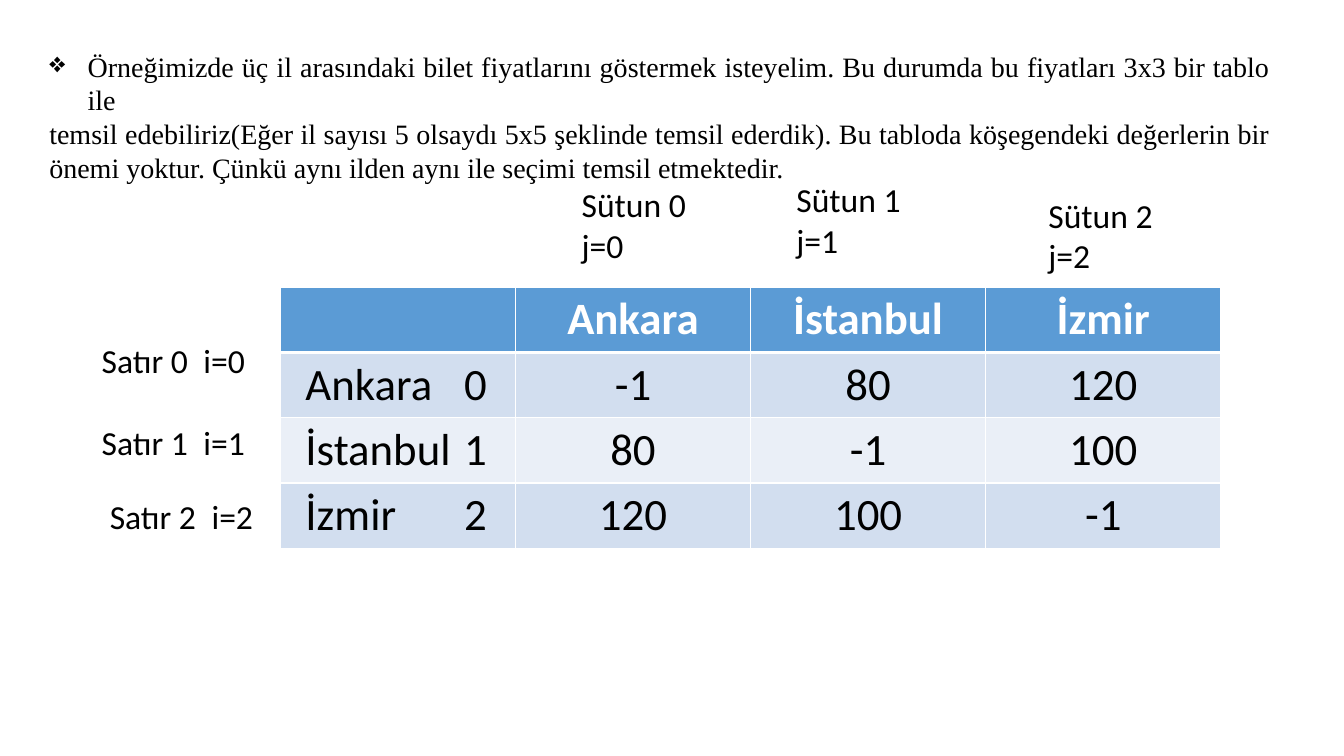
from lxml import etree
from pptx import Presentation
from pptx.dml.color import RGBColor
from pptx.enum.text import MSO_AUTO_SIZE, PP_ALIGN
from pptx.oxml.ns import qn
from pptx.util import Inches, Pt

LEFT, CENTER, JUSTIFY = PP_ALIGN.LEFT, PP_ALIGN.CENTER, PP_ALIGN.JUSTIFY
FIT_SHAPE = MSO_AUTO_SIZE.SHAPE_TO_FIT_TEXT
BLANK_LAYOUT = 6

COLORS = {
    "text": "000000",
    "white": "FFFFFF",
    "header": "5B9BD5",
    "odd_row": "D2DEEF",
    "even_row": "EAEFF7",
}
INTRO_FONT = {"name": "Times New Roman", "size": Pt(20), "bold": False}
LABEL_FONT = {"name": "Calibri", "size": Pt(24), "bold": False}
CELL_FONT = {"name": "Calibri", "size": Pt(32), "bold": False}
HEADER_FONT = {**CELL_FONT, "bold": True}

INTRO = [
    "Örneğimizde üç il arasındaki bilet fiyatlarını göstermek isteyelim. "
    "Bu durumda bu fiyatları 3x3 bir tablo ile",
    "temsil edebiliriz(Eğer il sayısı 5 olsaydı 5x5 şeklinde temsil ederdik). "
    "Bu tabloda köşegendeki değerlerin bir önemi yoktur. "
    "Çünkü aynı ilden aynı ile seçimi temsil etmektedir.",
]
PRICES = [
    ["", "Ankara", "İstanbul", "İzmir"],
    ["Ankara\t0", "-1", "80", "120"],
    ["İstanbul\t1", "80", "-1", "100"],
    ["İzmir\t2", "120", "100", "-1"],
]
# Left, top, width of each index label
ROW_LABELS = [(0.91, 3.32, 1.63), (0.91, 4.14, 1.78), (0.99, 4.87, 1.78)]
COLUMN_LABELS = [(5.67, 1.78, 1.32), (7.8, 1.73, 1.25), (10.3, 1.88, 1.25)]


def write_paragraph(paragraph, text, font_format, color="text", align=LEFT):
    paragraph.alignment = align
    run = paragraph.add_run()
    run.text = text
    for name, value in font_format.items():
        setattr(run.font, name, value)
    run.font.color.rgb = RGBColor.from_string(COLORS[color])


def add_text(slide, box, lines, font_format, align=LEFT, wrap=False):
    shape = slide.shapes.add_textbox(*(Inches(value) for value in box))
    frame = shape.text_frame
    frame.word_wrap = wrap
    frame.auto_size = FIT_SHAPE
    for index, line in enumerate(lines):
        paragraph = frame.add_paragraph() if index else frame.paragraphs[0]
        write_paragraph(paragraph, line, font_format, align=align)
    return frame


def set_bullet(paragraph, character, indent):
    properties = paragraph._p.get_or_add_pPr()
    properties.set("marL", str(Inches(indent)))
    properties.set("indent", str(-Inches(indent)))
    etree.SubElement(properties, qn("a:buChar"), char=character)


def set_tab(paragraph, position, align):
    properties = paragraph._p.get_or_add_pPr()
    tabs = etree.SubElement(properties, qn("a:tabLst"))
    etree.SubElement(tabs, qn("a:tab"), pos=str(Inches(position)), algn=align)


def set_borders(cell, widths):
    properties = cell._tc.get_or_add_tcPr()
    for side, width in widths.items():
        line = etree.SubElement(properties, qn(f"a:ln{side}"), w=str(Pt(width)))
        fill = etree.SubElement(line, qn("a:solidFill"))
        etree.SubElement(fill, qn("a:srgbClr"), val=COLORS["white"])


def format_cell(cell, text, row, column):
    header = row == 0
    borders = {"L": 1, "R": 1, "T": 3 if row == 1 else 1, "B": 3 if header else 1}
    set_borders(cell, borders)
    fill = "header" if header else "odd_row" if row % 2 else "even_row"
    cell.fill.solid()
    cell.fill.fore_color.rgb = RGBColor.from_string(COLORS[fill])
    if not text:
        return
    paragraph = cell.text_frame.paragraphs[0]
    city_label = column == 0
    write_paragraph(
        paragraph,
        text,
        HEADER_FONT if header else CELL_FONT,
        "white" if header else "text",
        LEFT if city_label else CENTER,
    )
    if city_label:
        cell.margin_left = Inches(0.25)
        set_tab(paragraph, 1.8, "r")


def add_price_table(slide, left, top, width, height):
    box = (Inches(value) for value in (left, top, width, height))
    table = slide.shapes.add_table(len(PRICES), len(PRICES[0]), *box).table
    for row, values in enumerate(PRICES):
        for column, text in enumerate(values):
            format_cell(table.cell(row, column), text, row, column)


def main():
    presentation = Presentation()
    presentation.slide_width = Inches(13.33)
    presentation.slide_height = Inches(7.5)
    slide = presentation.slides.add_slide(presentation.slide_layouts[BLANK_LAYOUT])

    # Price table
    add_price_table(slide, 2.78, 2.85, 9.33, 2.59)

    # Introduction
    intro = add_text(slide, (0.39, 0.44, 12.31, 1.11), INTRO, INTRO_FONT, JUSTIFY, True)
    set_bullet(intro.paragraphs[0], "❖", 0.38)

    # Row and column indices
    for index, (left, top, width) in enumerate(ROW_LABELS):
        lines = [f"Satır {index}\ti={index}"]
        label = add_text(slide, (left, top, width, 0.5), lines, LABEL_FONT)
        set_tab(label.paragraphs[0], 1.01, "l")
    for index, (left, top, width) in enumerate(COLUMN_LABELS):
        lines = [f"Sütun {index}", f"j={index}"]
        add_text(slide, (left, top, width, 0.91), lines, LABEL_FONT)

    presentation.save("out.pptx")


if __name__ == "__main__":
    main()
